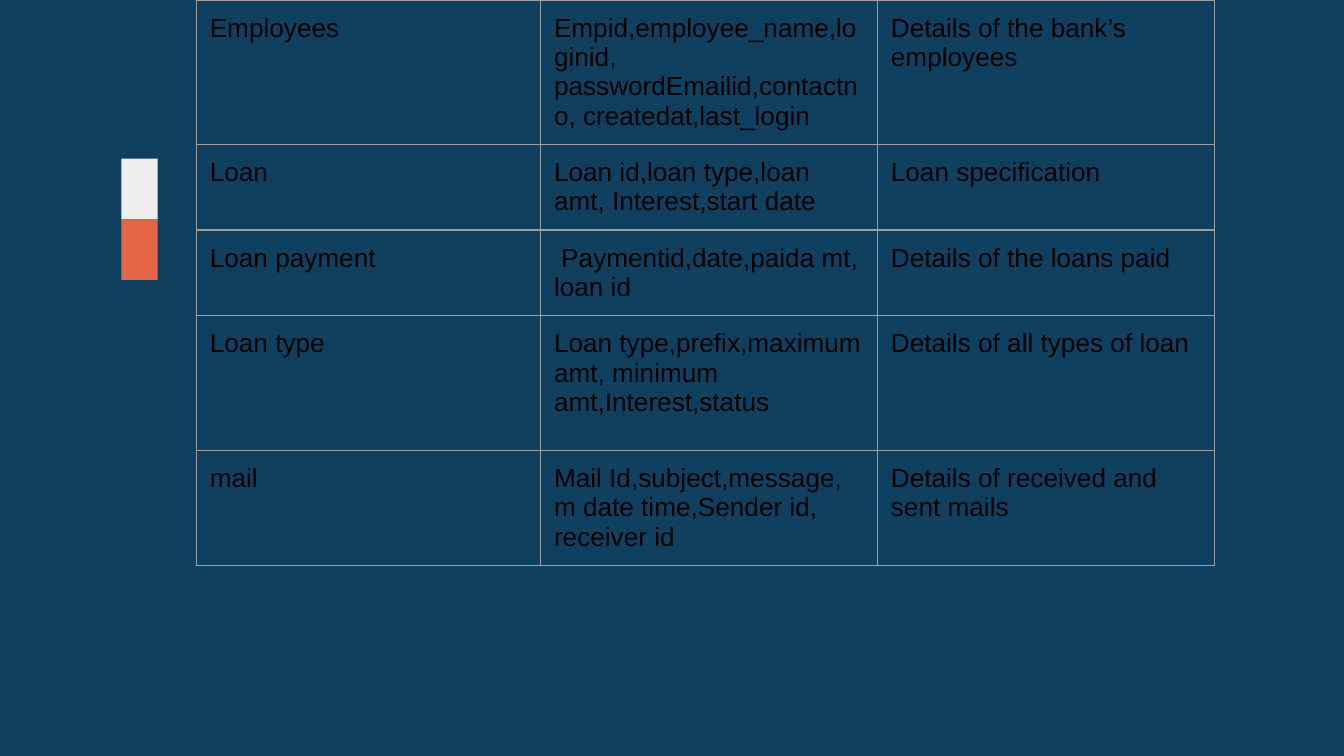
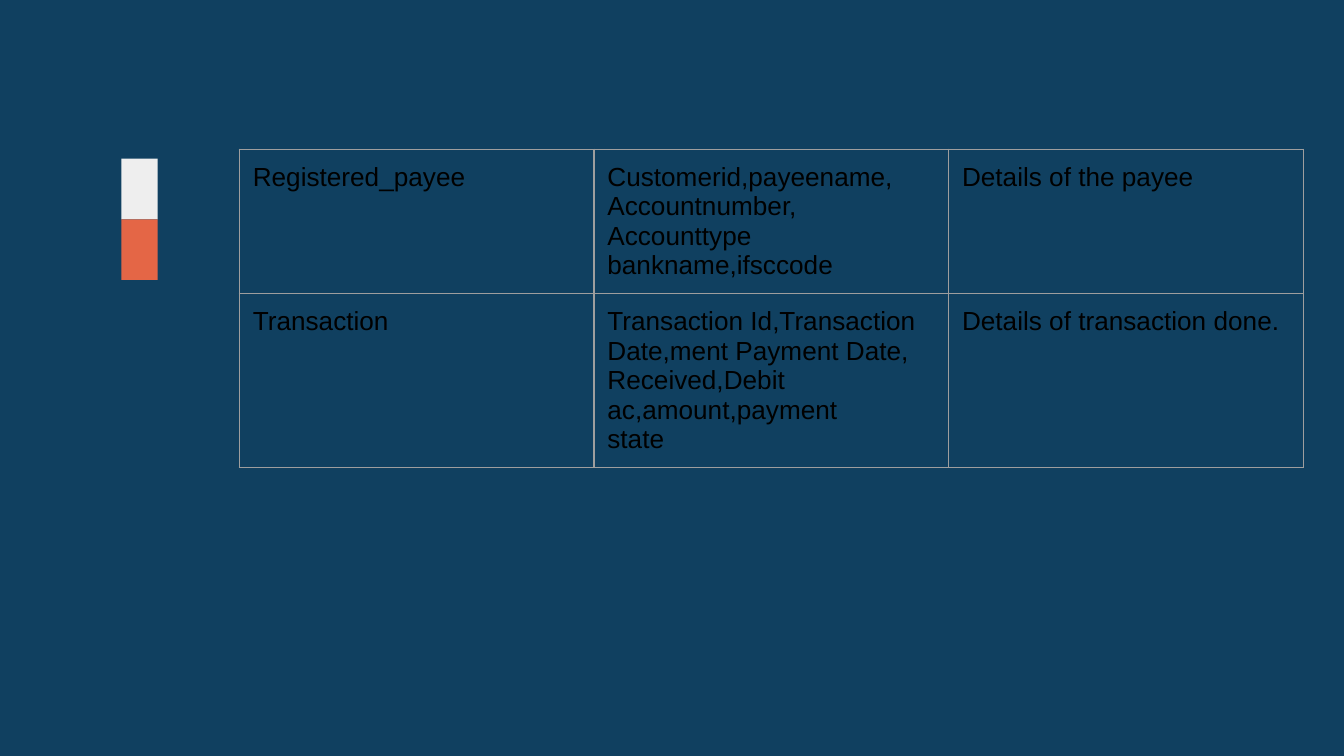
from dataclasses import dataclass
from lxml.etree import SubElement
from pptx import Presentation
from pptx.dml.color import RGBColor as RGB
from pptx.enum.shapes import MSO_SHAPE as SHAPE
from pptx.oxml.ns import qn
from pptx.util import Pt


@dataclass(frozen=True)
class Theme:
    navy: str = "104060"
    pale: str = "EEEEEE"
    coral: str = "E46646"
    border: str = "9E9E9E"
    ink: str = "000000"
    font: str = "Arial"
    size: int = 14
    inset: float = 7.2
    line: float = 0.75


class Deck:
    def __init__(self, theme):
        self.theme = theme
        self.prs = Presentation()
        self.prs.slide_width, self.prs.slide_height = Pt(720), Pt(405)
        self.s = None

    def slide(self):
        self.s = self.prs.slides.add_slide(self.prs.slide_layouts[6])
        fill = self.s.background.fill
        fill.solid()
        fill.fore_color.rgb = RGB.from_string(self.theme.navy)
        for i, color in enumerate((self.theme.pale, self.theme.coral)):
            self.rect(65, 85 + 32.5 * i, 19.5, 32.5, color)

    def rect(self, x, y, w, h, color):
        sp = self.s.shapes.add_shape(SHAPE.RECTANGLE, Pt(x), Pt(y), Pt(w), Pt(h))
        sp.shadow.inherit = False
        sp.fill.solid()
        sp.fill.fore_color.rgb = RGB.from_string(color)
        sp.line.fill.background()

    def table(self, x, y, widths, heights, rows):
        tbl = self.s.shapes.add_table(
            len(rows), len(widths), Pt(x), Pt(y), Pt(sum(widths)), Pt(sum(heights))
        ).table
        tbl.first_row = tbl.horz_banding = False
        for col, w in zip(tbl.columns, widths):
            col.width = Pt(w)
        for row, h, texts in zip(tbl.rows, heights, rows):
            row.height = Pt(h)
            for cell, text in zip(row.cells, texts):
                self.cell(cell, text)

    def cell(self, cell, text):
        t = self.theme
        cell.margin_left = cell.margin_right = Pt(t.inset)
        cell.margin_top = cell.margin_bottom = Pt(t.inset)
        cell.text_frame.text = text
        for p in cell.text_frame.paragraphs:
            p.font.name, p.font.size = t.font, Pt(t.size)
            p.font.color.rgb = RGB.from_string(t.ink)
        tc_pr = cell._tc.get_or_add_tcPr()
        for side in ("L", "R", "T", "B"):
            ln = SubElement(tc_pr, qn(f"a:ln{side}"), w=str(Pt(t.line)))
            fill = SubElement(ln, qn("a:solidFill"))
            SubElement(fill, qn("a:srgbClr"), val=t.border)
        cell.fill.background()


STAFF_AND_LOANS = [
    ("Employees",
     "Empid,employee_name,loginid, passwordEmailid,contactno, createdat,last_login",
     "Details of the bank’s employees"),
    ("Loan", "Loan id,loan type,loan amt, Interest,start date", "Loan specification"),
    ("Loan payment", " Paymentid,date,paida mt, loan id", "Details of the loans paid"),
    ("Loan type", "Loan type,prefix,maximum amt, minimum amt,Interest,status",
     "Details of all types of loan"),
    ("mail", "Mail Id,subject,message, m date time,Sender id, receiver id",
     "Details of received and sent mails"),
]
PAYMENTS = [
    ("Registered_payee",
     "Customerid,payeename, Accountnumber, Accounttype bankname,ifsccode",
     "Details of the payee"),
    ("Transaction",
     "Transaction Id,Transaction Date,ment Payment Date,\n"
     "Received,Debit ac,amount,payment\nstate",
     "Details of transaction done."),
]


def main():
    deck = Deck(Theme())
    deck.slide()
    deck.table(105.2, 0, (184.4, 180.5, 180.5), (72, 42.5, 42.5, 72, 57), STAFF_AND_LOANS)
    deck.slide()
    deck.table(128.2, 80, (190,) * 3, (30,) * 2, PAYMENTS)
    deck.prs.save("out.pptx")


if __name__ == "__main__":
    main()
